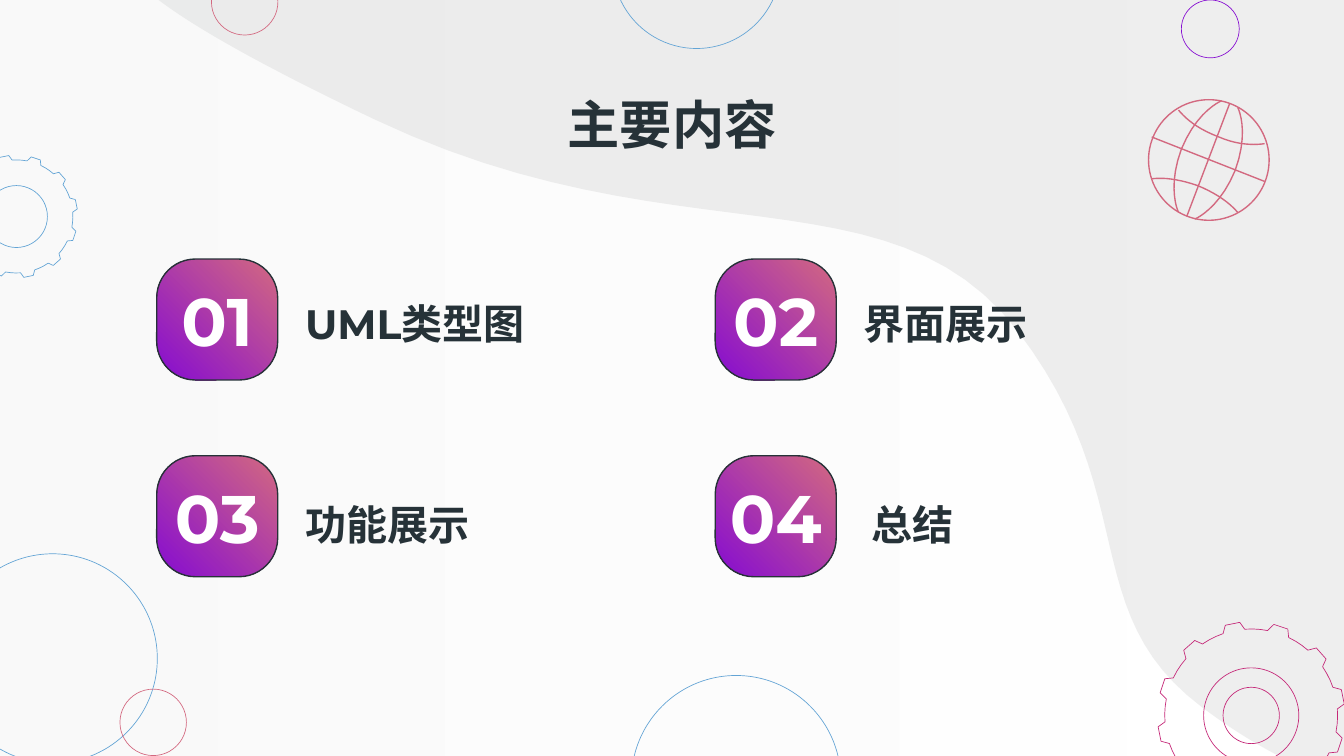
"""Build the agenda slide with four numbered topics on a wavy technical backdrop."""
import math

import lxml.etree
import pptx
import pptx.dml.color
import pptx.enum.shapes
import pptx.enum.text
import pptx.oxml.ns
import pptx.util

Pt = pptx.util.Pt
RGBColor = pptx.dml.color.RGBColor
SHAPE = pptx.enum.shapes.MSO_SHAPE
ALIGN = pptx.enum.text.PP_ALIGN
qn = pptx.oxml.ns.qn

INK = RGBColor(0x26, 0x32, 0x38)
WHITE = RGBColor(0xFF, 0xFF, 0xFF)
PALE = RGBColor(0xF3, 0xF3, 0xF3)
GREY = RGBColor(0xD6, 0xD7, 0xD7)
BLUE = RGBColor(0x63, 0xA4, 0xD5)
PURPLE = RGBColor(0x86, 0x0C, 0xD1)
ROSE = RGBColor(0xD3, 0x69, 0x80)
MAGENTA = RGBColor(0xC5, 0x28, 0x78)

FONT = "Montserrat"
HAIRLINE, THIN = 0.36, 0.75
BACKDROP_ALPHA = 41000

TITLE = "主要内容"
TOPICS = [
    ("01", "UML类型图", 0),
    ("02", "界面展示", 0),
    ("03", "功能展示", 0),
    ("04", "总结", 4.3),
]
BADGE_LEFTS = (84, 383.2)
BADGE_TOPS = (138.8, 244.2)
LABEL_TOPS = (155.5, 263.5)
BADGE = 64.8
NUMBER_HEIGHT = 50.4

WAVE_CURVE = [
    (729.4, 423.4),
    (706.3, 416.2), (676.1, 403.2), (643.7, 378.7),
    (576, 327.6), (612.7, 265.7), (545, 177.1),
    (476.6, 88.6), (361.4, 140.4), (200.9, 64.1),
    (126.7, 28.8), (92.2, 7.2), (77, -6.5),
]
WAVE_CORNERS = [(77, -18), (740, -18), (740, 423.4)]

CIRCLES = [
    (28.2, 352.8, 56.1, BLUE),
    (648.4, 15.5, 15.5, PURPLE),
    (131.1, 1, 17.8, ROSE),
    (373.2, -19, 45, BLUE),
    (394.4, 418, 56.1, BLUE),
    (82.1, 387, 17.8, ROSE),
]

GEARS = [
    (8.8, 116, 30.3, (16.6,), BLUE),
    (670.3, 383.3, 46.3, (25.5, 15.1), MAGENTA),
]
GEAR_TEETH = 12
TOOTH_PROFILE = [(4.3, 1), (7, 1.085), (16, 1.085), (19, 1), (24, 1), (29, 1)]

GLOBE = (647.6, 85.7, 32.3, ROSE)
GLOBE_AXES = [((658.8, 55.4), (635.8, 115.9)), ((617, 73.4), (677.5, 97.2))]
GLOBE_ARCS = [
    [(631.4, 113.8), (631.4, 113.8), (625, 101.5), (632.9, 79.9),
     (641.5, 59), (654.5, 54), (654.5, 54)],
    [(640.1, 117.4), (640.1, 117.4), (653, 112.3), (661.7, 91.4),
     (669.6, 69.8), (663.1, 57.6), (663.1, 57.6)],
    [(663.1, 113.8), (659.5, 109.4), (652.3, 103.7), (641.5, 99.4),
     (631.4, 95.8), (622.8, 95), (617, 95.8)],
    [(631.4, 59), (635, 63.4), (641.5, 69.1), (653, 73.4),
     (663.1, 77.8), (671.8, 77.8), (677.5, 77)],
]


def trace_curve(knots, steps):
    """Return points along a chain of cubic Bezier curves."""
    points = [knots[0]]
    for first in range(0, len(knots) - 1, 3):
        for step in range(1, steps + 1):
            t = step / steps
            weights = ((1 - t) ** 3, 3 * t * (1 - t) ** 2, 3 * t * t * (1 - t), t ** 3)
            points.append(tuple(
                sum(weight * knot[axis] for weight, knot in zip(weights, knots[first:first + 4]))
                for axis in (0, 1)))
    return points


def style(shape, line_color=None, line_width=HAIRLINE, gradient=None, angle=0, fill_color=None):
    """Set the fill and outline of a shape and remove its shadow."""
    shape.shadow.inherit = False
    if gradient:
        shape.fill.gradient()
        shape.fill.gradient_angle = angle
        for stop, color in zip(shape.fill.gradient_stops, gradient):
            stop.color.rgb = color
    elif fill_color is not None:
        shape.fill.solid()
        shape.fill.fore_color.rgb = fill_color
    else:
        shape.fill.background()
    if line_color is None:
        shape.line.fill.background()
    else:
        shape.line.color.rgb = line_color
        shape.line.width = Pt(line_width)


def make_translucent(shape):
    """Give every fill colour of a shape the backdrop opacity."""
    for color in shape.element.spPr.iter(qn("a:srgbClr")):
        lxml.etree.SubElement(color, qn("a:alpha"), val=str(BACKDROP_ALPHA))


def add_preset(page, preset, left, top, width, height):
    """Add a preset shape placed in points."""
    return page.shapes.add_shape(preset, Pt(left), Pt(top), Pt(width), Pt(height))


def add_outline(page, points, close):
    """Add a freeform through points given in points."""
    corners = [(Pt(x), Pt(y)) for x, y in points]
    builder = page.shapes.build_freeform(*corners[0])
    builder.add_line_segments(corners[1:], close=close)
    return builder.convert_to_shape()


def add_circle(page, x, y, radius, color, line_width=HAIRLINE):
    """Add an unfilled circle around a centre."""
    circle = add_preset(page, SHAPE.OVAL, x - radius, y - radius, 2 * radius, 2 * radius)
    style(circle, color, line_width)


def add_gear(page, x, y, radius, holes, color):
    """Add a toothed wheel with concentric holes."""
    points = []
    for tooth in range(GEAR_TEETH):
        for degrees, reach in TOOTH_PROFILE:
            angle = math.radians(degrees + tooth * 360 / GEAR_TEETH)
            points.append((x + radius * reach * math.cos(angle),
                           y - radius * reach * math.sin(angle)))
    style(add_outline(page, points, True), color)
    for hole in holes:
        add_circle(page, x, y, hole, color)


def add_globe(page):
    """Add the tilted wire globe."""
    add_circle(page, *GLOBE, THIN)
    color = GLOBE[-1]
    for start, end in GLOBE_AXES:
        axis = page.shapes.add_connector(
            pptx.enum.shapes.MSO_CONNECTOR.STRAIGHT, *map(Pt, start + end))
        axis.line.color.rgb = color
        axis.line.width = Pt(THIN)
        lxml.etree.SubElement(axis.element.spPr, qn("a:effectLst"))
    for arc in GLOBE_ARCS:
        style(add_outline(page, trace_curve(arc, 10), False), color, THIN)


def write(box, text, size, color, alignment):
    """Put one bold, vertically centred line of text into a box."""
    frame = box.text_frame
    frame.text = text
    frame.word_wrap = True
    frame.auto_size = pptx.enum.text.MSO_AUTO_SIZE.NONE
    frame.vertical_anchor = pptx.enum.text.MSO_ANCHOR.MIDDLE
    frame.margin_left = frame.margin_right = frame.margin_top = frame.margin_bottom = Pt(7.2)
    paragraph = frame.paragraphs[0]
    paragraph.alignment = alignment
    paragraph.font.name, paragraph.font.size, paragraph.font.bold = FONT, Pt(size), True
    paragraph.font.color.rgb = color


def add_text(page, left, top, width, height, *content):
    """Add a text box placed in points."""
    write(page.shapes.add_textbox(Pt(left), Pt(top), Pt(width), Pt(height)), *content)


def main():
    """Assemble and save the slide."""
    deck = pptx.Presentation()
    deck.slide_width, deck.slide_height = Pt(720), Pt(405)
    page = deck.slides.add_slide(deck.slide_layouts[5])

    backdrop = add_preset(page, SHAPE.RECTANGLE, -5, -5, 730, 415)
    style(backdrop, gradient=(WHITE, PALE), angle=180)
    wave = add_outline(page, trace_curve(WAVE_CURVE, 24) + WAVE_CORNERS, True)
    style(wave, fill_color=GREY)
    for shape in (backdrop, wave):
        make_translucent(shape)
    for circle in CIRCLES:
        add_circle(page, *circle)
    for gear in GEARS:
        add_gear(page, *gear)

    for index, (number, label, indent) in enumerate(TOPICS):
        row, column = divmod(index, 2)
        left, top = BADGE_LEFTS[column], BADGE_TOPS[row]
        badge = add_preset(page, SHAPE.ROUNDED_RECTANGLE, left, top, BADGE, BADGE)
        badge.adjustments[0] = 0.32
        style(badge, INK, THIN, gradient=(ROSE, PURPLE), angle=225)
        add_text(page, left, top + (BADGE - NUMBER_HEIGHT) / 2, BADGE, NUMBER_HEIGHT,
                 number, 36, WHITE, ALIGN.CENTER)
        add_text(page, left + 72.4 + indent, LABEL_TOPS[row], 203, 34.6,
                 label, 22, INK, ALIGN.LEFT)

    title = page.shapes.title
    title.left, title.top, title.width, title.height = Pt(56.2), Pt(51.8), Pt(607.6), Pt(28.8)
    write(title, TITLE, 28, INK, ALIGN.CENTER)
    title.element.getparent().append(title.element)
    add_globe(page)
    deck.save("out.pptx")


if __name__ == "__main__":
    main()
